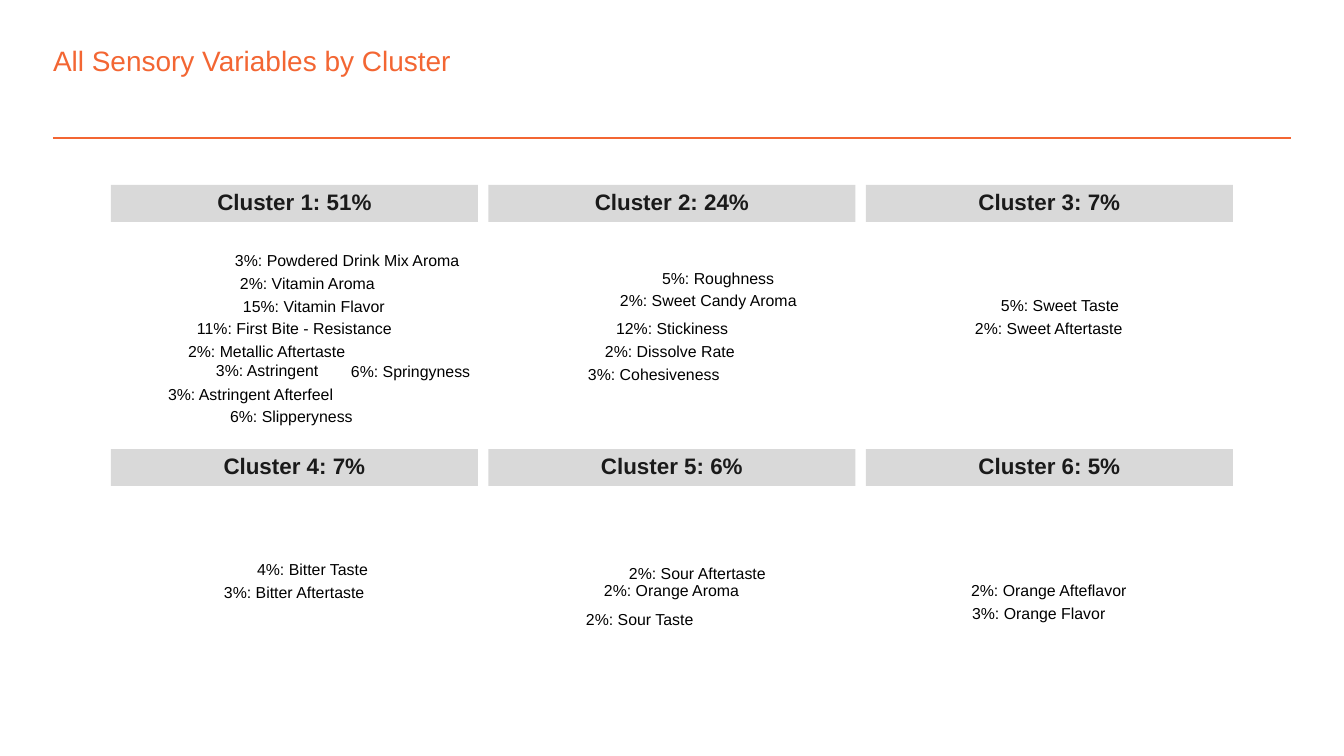
from pptx import Presentation
from pptx.dml.color import RGBColor
from pptx.enum.shapes import MSO_CONNECTOR, MSO_SHAPE
from pptx.enum.text import MSO_ANCHOR as ANCHOR, PP_ALIGN as ALIGN
from pptx.util import Pt
from lxml.etree import SubElement
from pptx.oxml.ns import qn

ORANGE = RGBColor(0xF3, 0x66, 0x33)
WHITE = RGBColor(0xFF, 0xFF, 0xFF)
GREY = RGBColor(0xD9, 0xD9, 0xD9)
DARK = RGBColor(0x1A, 0x1A, 0x1A)
BLACK = RGBColor(0, 0, 0)

TITLE = "All Sensory Variables by Cluster"

# Cluster heading, then its variables: share, name, left, top, width in px
CLUSTERS = [
    ("Cluster 1: 51%", [
        ("3%", "Powdered Drink Mix Aroma", 235, 256, 226),
        ("2%", "Vitamin Aroma", 240, 279, 136),
        ("15%", "Vitamin Flavor", 243, 302, 142),
        ("11%", "First Bite - Resistance", 197, 324, 196),
        ("2%", "Metallic Aftertaste", 188, 347, 159),
        ("3%", "Astringent", 216, 364, 103),
        ("6%", "Springyness", 351, 365, 120),
        ("3%", "Astringent Afterfeel", 168, 388, 168),
        ("6%", "Slipperyness", 230, 410, 124),
    ]),
    ("Cluster 2: 24%", [
        ("5%", "Roughness", 662, 272, 113),
        ("2%", "Sweet Candy Aroma", 620, 294, 177),
        ("12%", "Stickiness", 616, 324, 113),
        ("2%", "Dissolve Rate", 605, 347, 130),
        ("3%", "Cohesiveness", 588, 370, 132),
    ]),
    ("Cluster 3: 7%", [
        ("5%", "Sweet Taste", 1001, 301, 121),
        ("2%", "Sweet Aftertaste", 975, 324, 149),
    ]),
    ("Cluster 4: 7%", [
        ("4%", "Bitter Taste", 257, 565, 113),
        ("3%", "Bitter Aftertaste", 224, 588, 141),
    ]),
    ("Cluster 5: 6%", [
        ("2%", "Sour Aftertaste", 629, 569, 138),
        ("2%", "Orange Aroma", 604, 584, 136),
        ("2%", "Sour Taste", 586, 615, 110),
    ]),
    ("Cluster 6: 5%", [
        ("2%", "Orange Afteflavor", 971, 584, 157),
        ("3%", "Orange Flavor", 972, 607, 133),
    ]),
]

# Grid of cluster headings
COLS = 3
GRID_X, GRID_Y = 111, 185
SPAN_X, PITCH_Y = 755, 264  # first to last column, row to row
BAR_W, BAR_H = 367, 37
SLACK = 4  # spare width that keeps each label on one line


def px(n):
    return round(n * 914400 / 134.4)


def write(sp, text, size, color, bold=False, align=ALIGN.LEFT,
          anchor=ANCHOR.MIDDLE, exact=True):
    tf = sp.text_frame
    tf.margin_left = tf.margin_right = tf.margin_top = tf.margin_bottom = 0
    tf.word_wrap = False
    tf.vertical_anchor = anchor
    p = tf.paragraphs[0]
    p.alignment = align
    if exact:
        p.line_spacing = Pt(size)
    r = p.add_run()
    r.text = text
    r.font.name, r.font.size, r.font.bold = "Arial", Pt(size), bold
    r.font.color.rgb = color


def box(s, x, y, w, h, fill, line=None):
    sp = s.shapes.add_shape(MSO_SHAPE.RECTANGLE, px(x), px(y), px(w), px(h))
    sp.shadow.inherit = False
    sp.fill.solid()
    sp.fill.fore_color.rgb = fill
    if line is None:
        sp.line.fill.background()
    else:
        sp.line.color.rgb = line
        sp.line.width = Pt(0.75)
    return sp


def textbox(s, x, y, w, h):
    return s.shapes.add_textbox(px(x), px(y), px(w), px(h))


prs = Presentation()
prs.slide_width, prs.slide_height = px(1344), px(756)
s = prs.slides.add_slide(prs.slide_layouts[6])

# Title and rule
rule = s.shapes.add_connector(MSO_CONNECTOR.STRAIGHT, px(53), px(138), px(1291), px(138))
rule.line.color.rgb = ORANGE
rule.line.width = Pt(1)
SubElement(rule._element.spPr, qn("a:effectLst"))
write(textbox(s, 53, 43, 1114, 34), TITLE, 15, ORANGE, anchor=ANCHOR.TOP, exact=False)

# Panel behind the clusters
box(s, 101, 175, 1142, 538, WHITE, line=WHITE)

# Cluster headings and their variables
for i, (heading, variables) in enumerate(CLUSTERS):
    row, col = divmod(i, COLS)
    x = GRID_X + col * SPAN_X / (COLS - 1)
    bar = box(s, x, GRID_Y + row * PITCH_Y, BAR_W, BAR_H, GREY)
    write(bar, heading, 12, DARK, bold=True, align=ALIGN.CENTER)
    for share, name, left, top, width in variables:
        height = 15 if set(name) & set("gpy") else 12  # room for descenders
        write(textbox(s, left, top, width + SLACK, height), f"{share}: {name}", 8.5, BLACK)

prs.save("out.pptx")
